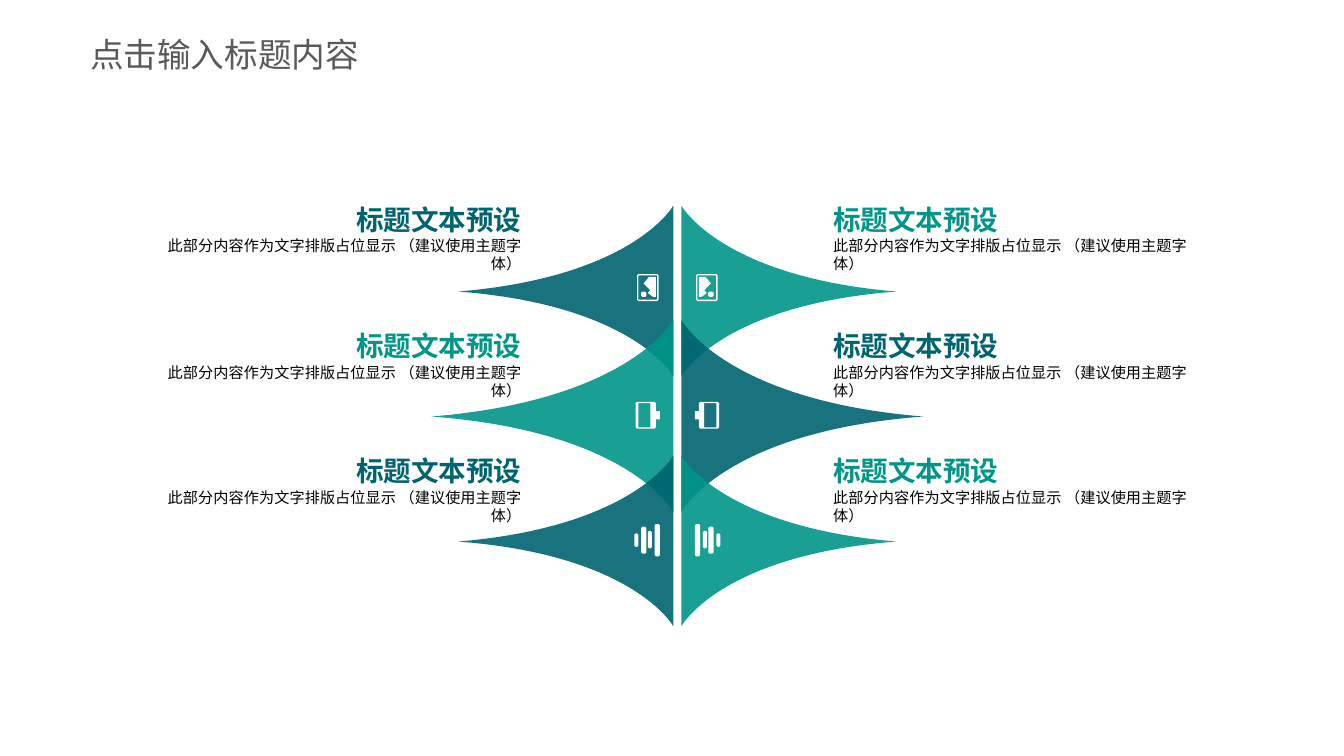
from dataclasses import dataclass

from lxml import etree
from pptx import Presentation
from pptx import util as u
from pptx.dml import color
from pptx.enum import text
from pptx.oxml import ns

CELL = u.Inches(0.01)
COLUMNS = 1000


@dataclass(frozen=True)
class Theme:
    font: str = "Noto Sans CJK SC"
    petrol: str = "006470"
    teal: str = "009589"
    white: str = "FFFFFF"
    black: str = "000000"
    gray: str = "595959"
    title_size: float = 18
    heading_size: float = 14.8
    body_size: float = 8.1


@dataclass(frozen=True)
class Box:
    left: int
    top: int
    width: int
    height: int

    def emu(self):
        return [CELL * length for length in (self.left, self.top, self.width, self.height)]

    def rows(self, start, count):
        return Box(self.left, self.top + start, self.width, count)


THEME = Theme()


def write_text(shape, words, size, hue, bold=False, align=text.PP_ALIGN.LEFT,
               margins=(39, 0, 31, 0), wrap=True):
    frame = shape.text_frame
    frame.text = words
    frame.word_wrap = wrap
    frame.auto_size = text.MSO_AUTO_SIZE.NONE
    frame.vertical_anchor = text.MSO_ANCHOR.MIDDLE
    frame.margin_left, frame.margin_top, frame.margin_right, frame.margin_bottom = (
        CELL * margin for margin in margins)
    paragraph = frame.paragraphs[0]
    paragraph.alignment = align
    font = paragraph.runs[0].font
    font.size, font.bold, font.name = u.Pt(size), bold, THEME.font
    font.color.rgb = color.RGBColor.from_string(hue)
    properties = paragraph.runs[0]._r.get_or_add_rPr()
    etree.SubElement(properties, ns.qn("a:ea"), typeface=THEME.font)


def draw_outline(shapes, contours, hue):
    builder = shapes.build_freeform(*contours[0][0], scale=CELL)
    for index, contour in enumerate(contours):
        if index:
            builder.move_to(*contour[0])
        builder.add_line_segments(contour[1:], close=True)
    shape = builder.convert_to_shape()
    shape.shadow.inherit = False
    shape.fill.solid()
    shape.fill.fore_color.rgb = color.RGBColor.from_string(hue)
    shape.line.fill.background()
    return shape


def curve_segments(shape):
    segments = shape.element.xpath(".//a:lnTo")
    for start in range(0, len(segments), 3):
        curve = etree.Element(ns.qn("a:cubicBezTo"))
        segments[start].addprevious(curve)
        for segment in segments[start:start + 3]:
            curve.append(segment[0])
            segment.getparent().remove(segment)


def add_leaf(shapes, box, side, hue):
    base = box.left if side > 0 else box.left + box.width
    profile = [(0, 0), (0, 0), (0.18, 0.42), (1, 0.5), (0.18, 0.58), (0, 1), (0, 1)]
    points = [(base + side * round(box.width * x), box.top + round(box.height * y))
              for x, y in profile]
    shape = draw_outline(shapes, [points], hue)
    curve_segments(shape)
    solid = shape.element.xpath("./p:spPr/a:solidFill/a:srgbClr")[0]
    etree.SubElement(solid, ns.qn("a:alpha"), val="90000")


def add_icon(shapes, box, side, contours):
    base = box.left if side > 0 else box.left + box.width
    middle = box.top + box.height // 2
    draw_outline(shapes, [[(base + side * x, middle + y) for x, y in contour]
                          for contour in contours], THEME.white)


def rounded(left, top, right, bottom):
    return [(left + 1, top), (right - 1, top), (right, top + 1), (right, bottom - 1),
            (right - 1, bottom), (left + 1, bottom), (left, bottom - 1), (left, top + 1)]


def square(left, top, right, bottom):
    return [(left, top), (right, top), (right, bottom), (left, bottom)]


PICTURE_ICON = [
    rounded(11, -12, 27, 8), square(12, -11, 26, 7), rounded(20, 1, 24, 5),
    [(13, -10), (13, 5), (15, 5), (19, 2), (17, 0), (22, -5), (18, -10)],
]
DEVICE_ICON = [
    [(14, -10), (27, -10), (28, -9), (28, 9), (27, 10), (14, 10),
     (13, 9), (13, 3), (10, 3), (10, -3), (13, -3), (13, -9)],
    square(17, -9, 26, 9),
]
BARS_ICON = [rounded(10, -12, 14, 12), rounded(16, -7, 19, 6),
             rounded(20, -10, 24, 10), rounded(26, -5, 29, 5)]


def add_caption(shapes, box, heading, body, hue, align):
    write_text(shapes.add_textbox(*box.rows(0, 24).emu()), heading, THEME.heading_size,
               hue, bold=True, align=align, wrap=False)
    write_text(shapes.add_textbox(*box.rows(24, 29).emu()), body, THEME.body_size,
               THEME.black, align=align)


def add_leaf_stack(shapes, box, side, hues):
    step = 93
    icons = [PICTURE_ICON, DEVICE_ICON, BARS_ICON]
    sizes = [(160, 127), (180, 143), (160, 127)]
    for row, (icon, (width, height), hue) in enumerate(zip(icons, sizes, hues)):
        left = box.left if side > 0 else box.left + box.width - width
        leaf = Box(left, box.top + 63 + row * step - height // 2, width, height)
        add_leaf(shapes, leaf, side, hue)
        add_icon(shapes, leaf, side, icon)


def add_caption_stack(shapes, box, hues, align):
    for row, hue in enumerate(hues):
        add_caption(shapes, box.rows(round(row * 93.5), 53), "标题文本预设",
                    "此部分内容作为文字排版占位显示 （建议使用主题字体）", hue, align)


def add_title(slide, box):
    title = slide.shapes.title
    title.left, title.top, title.width, title.height = box.emu()
    write_text(title, "点击输入标题内容", THEME.title_size, THEME.gray, margins=(0, 5, 0, 5))


def build_slide(presentation):
    slide = presentation.slides.add_slide(presentation.slide_layouts[5])
    add_title(slide, Box(67, 19, 233, 42))
    shapes = slide.shapes.add_group_shape().shapes
    left_hues = [THEME.petrol, THEME.teal, THEME.petrol]
    right_hues = [THEME.teal, THEME.petrol, THEME.teal]
    add_leaf_stack(shapes, Box(321, 153, 180, 312), -1, left_hues)
    add_leaf_stack(shapes, Box(507, 153, 180, 312), 1, right_hues)
    add_caption_stack(shapes, Box(581, 151, 347, 240), right_hues, text.PP_ALIGN.LEFT)
    add_caption_stack(shapes, Box(72, 151, 347, 240), left_hues, text.PP_ALIGN.RIGHT)


presentation = Presentation()
presentation.slide_width = CELL * COLUMNS
presentation.slide_height = presentation.slide_width * 9 // 16
build_slide(presentation)
presentation.save("out.pptx")
